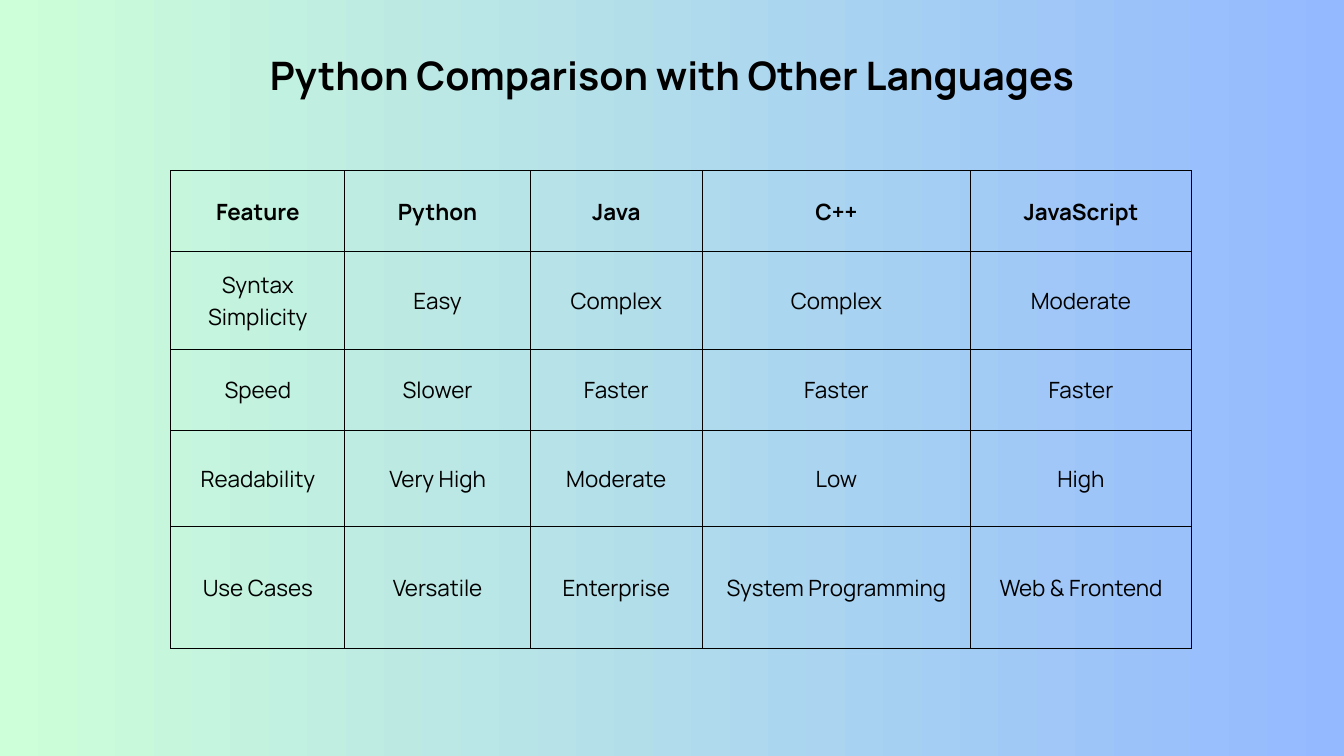
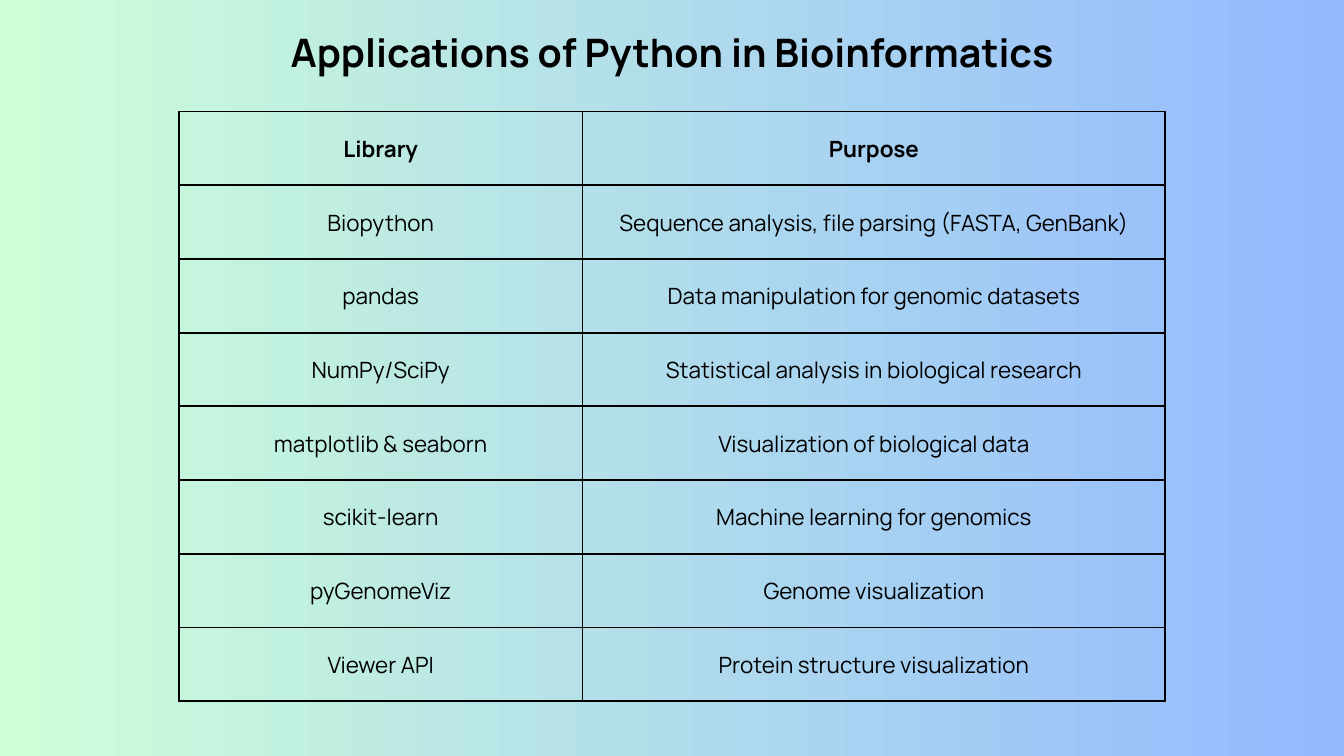
from dataclasses import dataclass

from lxml import etree
from pptx import Presentation
from pptx.dml.color import RGBColor
from pptx.enum import text
from pptx.oxml import ns
from pptx.util import Pt


@dataclass(frozen=True)
class Theme:
    font: str = "Manrope"
    ink: str = "000000"
    gradient: tuple = ("CDFFD8", "94B9FF")
    title_size: float = 42
    title_leading: float = 58.8
    cell_size: float = 24
    cell_leading: float = 33.6


THEME = Theme()
SLIDE_WIDTH, SLIDE_HEIGHT = 1440, 810
TITLE_ONLY = 5

LANGUAGES = [
    ("Feature", "Python", "Java", "C++", "JavaScript"),
    ("Syntax Simplicity", "Easy", "Complex", "Complex", "Moderate"),
    ("Speed", "Slower", "Faster", "Faster", "Faster"),
    ("Readability", "Very High", "Moderate", "Low", "High"),
    ("Use Cases", "Versatile", "Enterprise", "System Programming", "Web & Frontend"),
]
LIBRARIES = [
    ("Library", "Purpose"),
    ("Biopython", "Sequence analysis, file parsing (FASTA, GenBank)"),
    ("pandas", "Data manipulation for genomic datasets"),
    ("NumPy/SciPy", "Statistical analysis in biological research"),
    ("matplotlib & seaborn", "Visualization of biological data"),
    ("scikit-learn", "Machine learning for genomics"),
    ("pyGenomeViz", "Genome visualization"),
    ("Viewer API", "Protein structure visualization"),
]


def write_centred(frame, words, size, leading, bold):
    """Fill a text frame with one centred paragraph in the theme font."""
    frame.text = words
    frame.word_wrap = True
    line = frame.paragraphs[0]
    line.alignment = text.PP_ALIGN.CENTER
    line.line_spacing = Pt(leading)
    for run in line.runs:
        run.font.name = THEME.font
        run.font.size = Pt(size)
        run.font.bold = bold
        run.font.color.rgb = RGBColor.from_string(THEME.ink)


def add_titled_slide(prs, heading, box):
    """Add a slide with the shared gradient and a title in box."""
    slide = prs.slides.add_slide(prs.slide_layouts[TITLE_ONLY])

    # Left-to-right gradient
    backdrop = slide.background.fill
    backdrop.gradient()
    backdrop.gradient_angle = 0
    for stop, colour in zip(backdrop.gradient_stops, THEME.gradient):
        stop.color.rgb = RGBColor.from_string(colour)

    # Title
    title = slide.shapes.title
    title.left, title.top, title.width, title.height = map(Pt, box)
    frame = title.text_frame
    frame.margin_left = frame.margin_right = frame.margin_top = frame.margin_bottom = 0
    frame.vertical_anchor = text.MSO_ANCHOR.TOP
    write_centred(frame, heading, THEME.title_size, THEME.title_leading, True)
    frame.auto_size = text.MSO_AUTO_SIZE.SHAPE_TO_FIT_TEXT
    return slide


def outline_cell(cell, weight):
    """Draw all four borders; they must precede the fill in the cell properties."""
    properties = cell._tc.get_or_add_tcPr()
    for place, side in enumerate(("lnL", "lnR", "lnT", "lnB")):
        border = etree.Element(ns.qn(f"a:{side}"), w=str(Pt(weight)))
        fill = etree.SubElement(border, ns.qn("a:solidFill"))
        etree.SubElement(fill, ns.qn("a:srgbClr"), val=THEME.ink)
        properties.insert(place, border)


def add_grid(slide, origin, widths, heights, entries, border, margin):
    """Place a transparent ruled table with a bold first row at origin."""
    left, top = origin
    grid = slide.shapes.add_table(
        len(heights), len(widths),
        Pt(left), Pt(top), Pt(sum(widths)), Pt(sum(heights))).table
    grid.first_row = grid.horz_banding = False
    for column, width in zip(grid.columns, widths):
        column.width = Pt(width)
    for row, height in zip(grid.rows, heights):
        row.height = Pt(height)

    for r, entry in enumerate(entries):
        for c, words in enumerate(entry):
            cell = grid.cell(r, c)
            cell.fill.background()
            cell.vertical_anchor = text.MSO_ANCHOR.MIDDLE
            cell.margin_left = cell.margin_right = Pt(margin)
            cell.margin_top = cell.margin_bottom = Pt(margin)
            write_centred(cell.text_frame, words,
                          THEME.cell_size, THEME.cell_leading, r == 0)
            outline_cell(cell, border)


def build_language_comparison(prs):
    slide = add_titled_slide(prs, "Python Comparison with Other Languages",
                             (263, 46.8, 914, 59))
    add_grid(slide, (183, 183), (186.5, 198.7, 184.3, 287.3, 236.9),
             (86.4, 105.1, 86.4, 103, 131), LANGUAGES, border=1.5, margin=12)


def build_bioinformatics_libraries(prs):
    slide = add_titled_slide(prs, "Applications of Python in Bioinformatics",
                             (288, 21.6, 864, 117))
    add_grid(slide, (191.5, 119.5), (432.7, 624.2),
             [79] * len(LIBRARIES), LIBRARIES, border=2.25, margin=15)


def main():
    prs = Presentation()
    prs.slide_width, prs.slide_height = Pt(SLIDE_WIDTH), Pt(SLIDE_HEIGHT)
    build_language_comparison(prs)
    build_bioinformatics_libraries(prs)
    prs.save("out.pptx")


if __name__ == "__main__":
    main()
